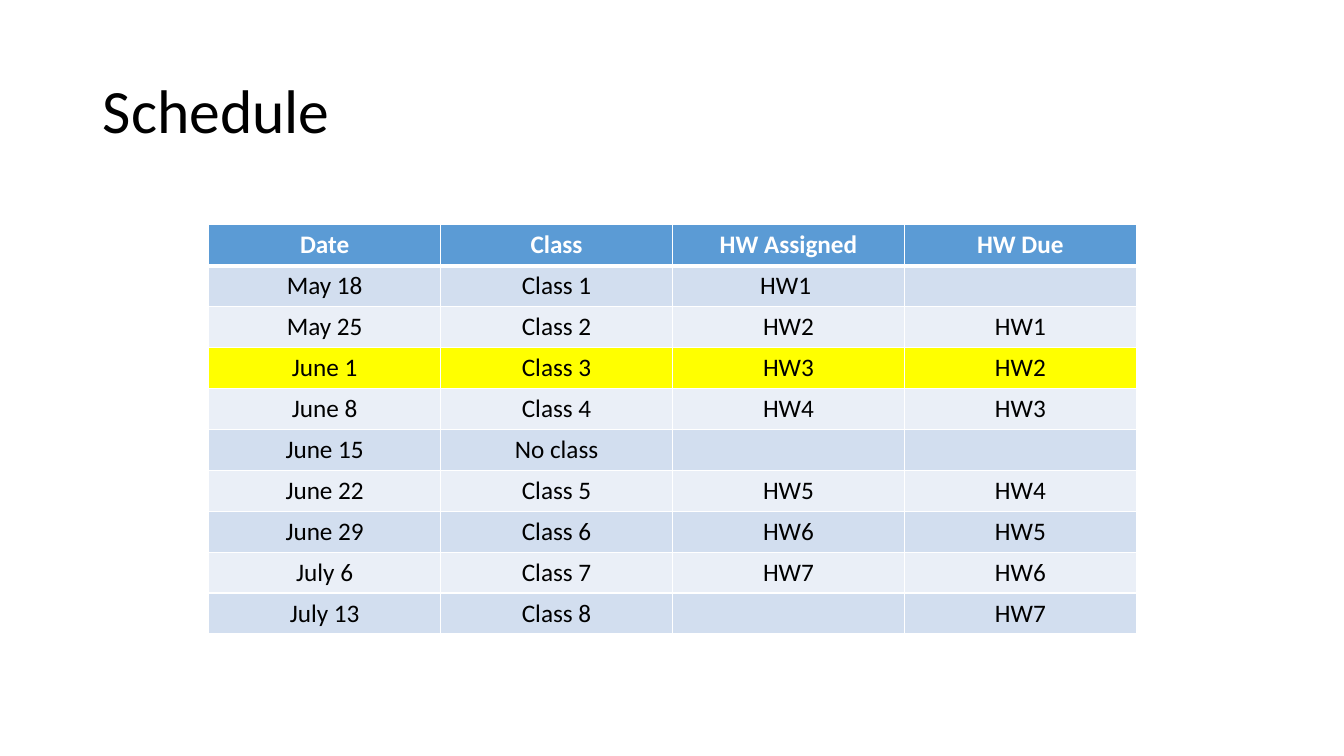
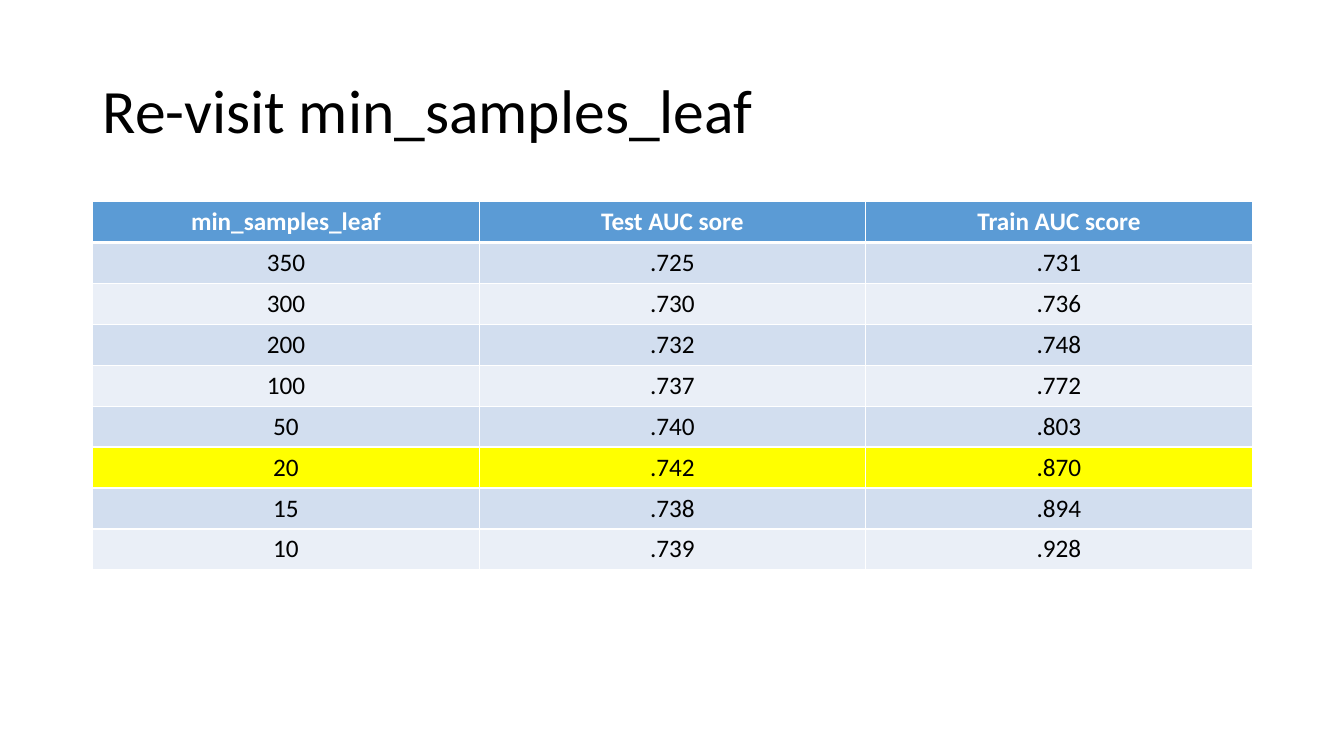
"""Build two slides, each with a title and a banded table with one highlighted row."""
import pptx
import pptx.dml.color
import pptx.enum.text
import pptx.oxml
import pptx.oxml.ns
import pptx.util

RGBColor = pptx.dml.color.RGBColor
Inches = pptx.util.Inches
Pt = pptx.util.Pt
PP_ALIGN = pptx.enum.text.PP_ALIGN
MSO_ANCHOR = pptx.enum.text.MSO_ANCHOR

FONT = "Calibri"
BLACK = RGBColor(0x00, 0x00, 0x00)
WHITE = RGBColor(0xFF, 0xFF, 0xFF)
HEADER_BLUE = RGBColor(0x5B, 0x9B, 0xD5)
HIGHLIGHT = RGBColor(0xFF, 0xFF, 0x00)
BANDS = (RGBColor(0xD2, 0xDE, 0xEF), RGBColor(0xEA, 0xEF, 0xF7))
ROW_HEIGHT = 0.406
TITLE_ONLY_LAYOUT = 5

SCHEDULE = (
    ("Date", "Class", "HW Assigned", "HW Due"),
    ("May 18", "Class 1", "HW1 ", ""),
    ("May 25", "Class 2", "HW2", "HW1"),
    ("June 1", "Class 3", "HW3", "HW2"),
    ("June 8", "Class 4", "HW4", "HW3"),
    ("June 15", "No class", "", ""),
    ("June 22", "Class 5", "HW5", "HW4"),
    ("June 29", "Class 6", "HW6", "HW5"),
    ("July 6", "Class 7", "HW7", "HW6"),
    ("July 13", "Class 8", "", "HW7"),
)
LEAF_SCORES = (
    ("min_samples_leaf", "Test AUC sore", "Train AUC score"),
    ("350", ".725", ".731"),
    ("300", ".730", ".736"),
    ("200", ".732", ".748"),
    ("100", ".737", ".772"),
    ("50", ".740", ".803"),
    ("20", ".742", ".870"),
    ("15", ".738", ".894"),
    ("10", ".739", ".928"),
)


def write_text(frame, text, size=18, color=BLACK, bold=False,
               align=PP_ALIGN.CENTER, line_spacing=1.0):
    """Write one formatted paragraph into a text frame."""
    para = frame.paragraphs[0]
    para.alignment = align
    para.line_spacing = line_spacing
    para.font.size = Pt(size)
    if text:
        span = para.add_run()
        span.text = text
        span.font.name = FONT
        span.font.size = Pt(size)
        span.font.bold = bold
        span.font.color.rgb = color


def add_page(deck, title):
    """Add a slide with the shared title style."""
    page = deck.slides.add_slide(deck.slide_layouts[TITLE_ONLY_LAYOUT])
    box = page.shapes.title
    box.left, box.top = Inches(0.92), Inches(0.4)
    box.width, box.height = Inches(11.5), Inches(1.45)
    frame = box.text_frame
    frame.auto_size = pptx.enum.text.MSO_AUTO_SIZE.NONE
    frame.vertical_anchor = MSO_ANCHOR.MIDDLE
    write_text(frame, title, size=44, align=PP_ALIGN.LEFT, line_spacing=0.9)
    return page


def set_borders(cell, top=1, bottom=1):
    """Draw white lines around a cell, with widths in points."""
    properties = cell._tc.get_or_add_tcPr()
    for side, width in (("L", 1), ("R", 1), ("T", top), ("B", bottom)):
        properties.append(pptx.oxml.parse_xml(
            f'<a:ln{side} {pptx.oxml.ns.nsdecls("a")} w="{Pt(width)}">'
            f'<a:solidFill><a:srgbClr val="{WHITE}"/></a:solidFill></a:ln{side}>'))


def add_banded_table(page, rows, left, top, width, highlighted):
    """Add a table with a header, alternating bands and a highlighted row."""
    table = page.shapes.add_table(
        len(rows), len(rows[0]), Inches(left), Inches(top),
        Inches(width), Inches(ROW_HEIGHT * len(rows))).table
    for row_index, values in enumerate(rows):
        header = row_index == 0
        if header:
            fill = HEADER_BLUE
        elif row_index == highlighted:
            fill = HIGHLIGHT
        else:
            fill = BANDS[(row_index - 1) % 2]
        for column_index, value in enumerate(values):
            cell = table.cell(row_index, column_index)
            set_borders(cell, top=3 if row_index == 1 else 1,
                        bottom=3 if header else 1)
            cell.fill.solid()
            cell.fill.fore_color.rgb = fill
            write_text(cell.text_frame, value, bold=header,
                       color=WHITE if header else BLACK)


def main():
    """Build and save the deck."""
    deck = pptx.Presentation()
    deck.slide_width, deck.slide_height = Inches(13.33), Inches(7.5)
    page = add_page(deck, "Schedule")
    add_banded_table(page, SCHEDULE, 2.07, 2.23, 9.2, highlighted=3)
    page = add_page(deck, "Re-visit min_samples_leaf")
    add_banded_table(page, LEAF_SCORES, 0.92, 2, 11.5, highlighted=6)
    deck.save("out.pptx")


if __name__ == "__main__":
    main()
